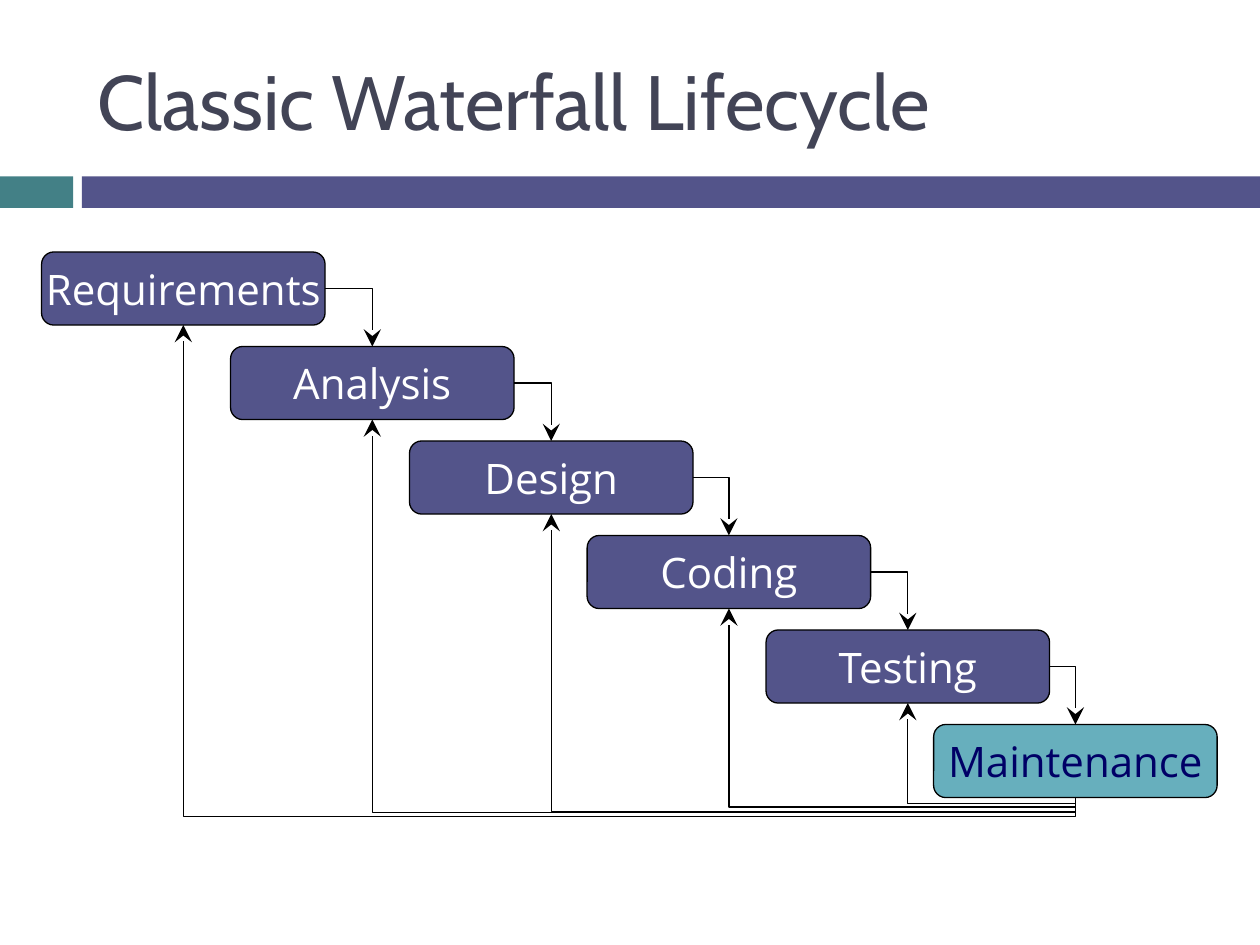
"""Build a slide of the classic waterfall lifecycle with its feedback loops."""
import pptx
import pptx.dml.color
import pptx.enum.shapes
import pptx.enum.text
import pptx.oxml
import pptx.oxml.ns
import pptx.util
from pptx.util import Inches

SHAPE = pptx.enum.shapes.MSO_SHAPE
ALIGN = pptx.enum.text.PP_ALIGN
BOTTOM, RIGHT, TOP = 2, 3, 0
STAGE_WIDTH, STAGE_HEIGHT = 2.25, 0.58


def color(value):
    return pptx.dml.color.RGBColor.from_string(value)


def apply(target, values):
    for name, value in values.items():
        setattr(target, name, value)


class SlideBuilder:
    title_font = {"name": "Cabin", "size": pptx.util.Pt(44)}
    stage_font = {"name": "Open Sans", "size": pptx.util.Pt(24)}
    frame = {
        "word_wrap": False,
        "auto_size": pptx.enum.text.MSO_AUTO_SIZE.NONE,
        "vertical_anchor": pptx.enum.text.MSO_ANCHOR.MIDDLE,
    }
    line_color = "000000"
    line_width = pptx.util.Pt(0.75)

    def __init__(self, presentation):
        self.slide = presentation.slides.add_slide(presentation.slide_layouts[5])

    def label(self, shape, text, font, font_color, alignment):
        shape.text_frame.text = text
        apply(shape.text_frame, self.frame)
        paragraph = shape.text_frame.paragraphs[0]
        paragraph.alignment = alignment
        run_font = paragraph.runs[0].font
        apply(run_font, font)
        run_font.color.rgb = color(font_color)

    def title(self, text, left, top, width, height):
        shape = self.slide.shapes.title
        apply(shape, {"left": Inches(left), "top": Inches(top),
                      "width": Inches(width), "height": Inches(height)})
        self.label(shape, text, self.title_font, "424456", ALIGN.LEFT)
        shape.text_frame.word_wrap = True

    def box(self, kind, left, top, width, height, fill):
        shape = self.slide.shapes.add_shape(
            kind, Inches(left), Inches(top), Inches(width), Inches(height))
        shape.shadow.inherit = False
        shape.fill.solid()
        shape.fill.fore_color.rgb = color(fill)
        return shape

    def band(self, left, width, fill):
        self.box(SHAPE.RECTANGLE, left, 1.4, width, 0.25, fill).line.fill.background()

    def outline(self, line):
        line.color.rgb = color(self.line_color)
        line.width = self.line_width

    def stage(self, text, left, top, fill, font_color):
        shape = self.box(SHAPE.ROUNDED_RECTANGLE, left, top, STAGE_WIDTH, STAGE_HEIGHT, fill)
        shape.adjustments[0] = 0.167
        self.outline(shape.line)
        self.label(shape, text, self.stage_font, font_color, ALIGN.CENTER)
        return shape

    def arrow(self, source, source_site, target, target_site):
        connector = self.slide.shapes.add_connector(
            pptx.enum.shapes.MSO_CONNECTOR.ELBOW, 0, 0, 0, 0)
        connector.begin_connect(source, source_site)
        connector.end_connect(target, target_site)
        self.outline(connector.line)
        properties = connector._element.spPr
        head = pptx.oxml.parse_xml(
            f'<a:tailEnd {pptx.oxml.ns.nsdecls("a")} type="stealth" w="lg" len="lg"/>')
        properties.find(pptx.oxml.ns.qn("a:ln")).append(head)
        properties.append(pptx.oxml.parse_xml(f'<a:effectLst {pptx.oxml.ns.nsdecls("a")}/>'))
        return connector, properties

    def step(self, source, target):
        connector, properties = self.arrow(source, RIGHT, target, TOP)
        left, top = source.left + source.width, source.top + source.height // 2
        apply(connector, {"left": left, "top": top,
                          "width": target.left + target.width // 2 - left,
                          "height": target.top - top})
        properties.find(pptx.oxml.ns.qn("a:prstGeom")).set("prst", "bentConnector2")

    def feedback(self, source, target, bend):
        connector, properties = self.arrow(source, BOTTOM, target, BOTTOM)
        rise, run = source.top - target.top, source.left - target.left
        center_x = target.left + target.width // 2 + run // 2
        center_y = target.top + target.height + rise // 2
        apply(connector, {"left": center_x - rise // 2, "top": center_y - run // 2,
                          "width": rise, "height": run})
        transform = properties.find(pptx.oxml.ns.qn("a:xfrm"))
        transform.attrib.pop("flipH", None)
        transform.set("rot", str(270 * 60000))
        transform.set("flipV", "1")
        geometry = properties.find(pptx.oxml.ns.qn("a:prstGeom"))
        for child in list(geometry):
            geometry.remove(child)
        geometry.append(pptx.oxml.parse_xml(
            f'<a:avLst {pptx.oxml.ns.nsdecls("a")}>'
            f'<a:gd name="adj1" fmla="val {round(bend * 100000)}"/></a:avLst>'))


def main():
    presentation = pptx.Presentation()
    apply(presentation, {"slide_width": Inches(10), "slide_height": Inches(7.5)})
    builder = SlideBuilder(presentation)
    builder.band(0, 0.58, "438086")
    builder.band(0.65, 9.35, "53548A")
    builder.title("Classic Waterfall Lifecycle", 0.67, 0.25, 8.92, 1.08)

    names = ["Requirements", "Analysis", "Design", "Coding", "Testing"]
    lefts = [0.33, 1.83, 3.25, 4.66, 6.08]
    stages = [builder.stage(name, left, 2 + 0.75 * index, "53548A", "FFFFFF")
              for index, (name, left) in enumerate(zip(names, lefts))]
    maintenance = builder.stage("Maintenance", 7.41, 5.75, "67AFBD", "000066")

    for source, target in zip(stages, stages[1:] + [maintenance]):
        builder.step(source, target)
    bends = [-0.06, -0.05, -0.05, -0.04, -0.04]
    for target, bend in zip(reversed(stages), bends):
        builder.feedback(maintenance, target, bend)
    presentation.save("out.pptx")


if __name__ == "__main__":
    main()
